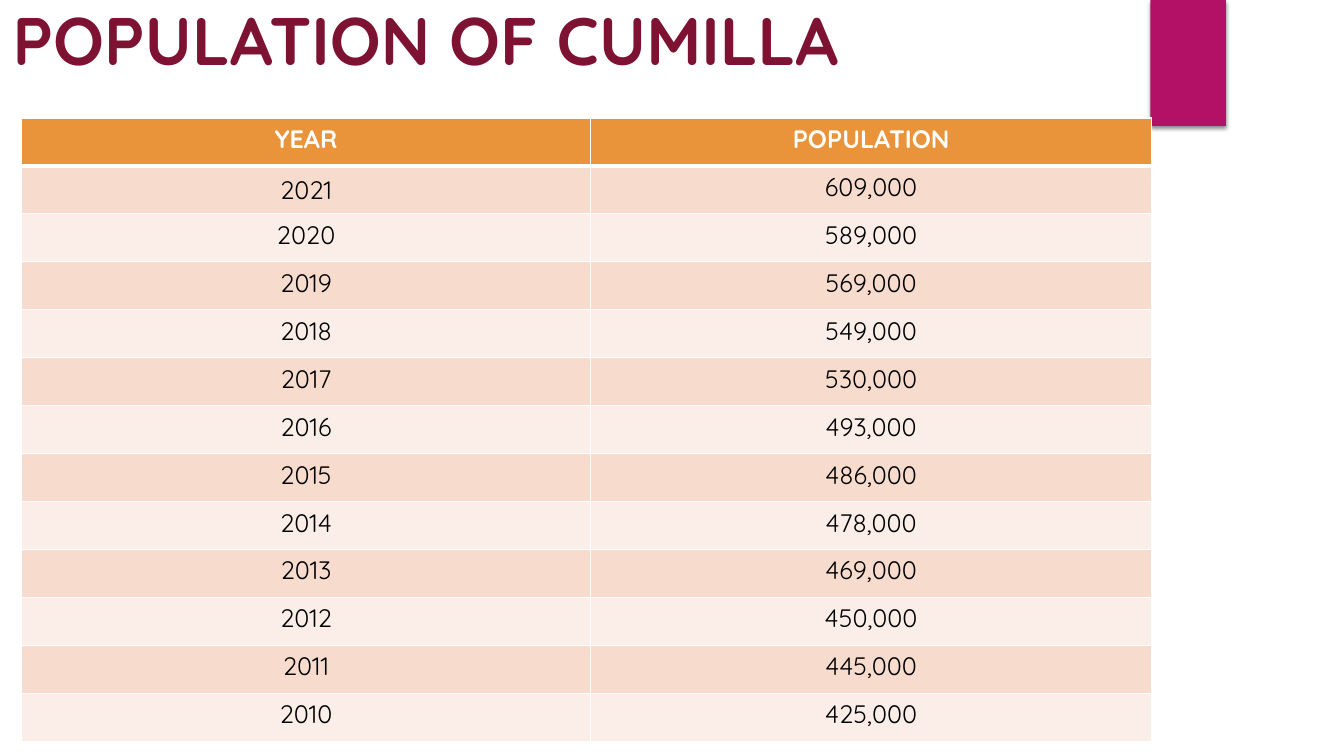
"""Build the slide with Cumilla's population by year."""
from lxml import etree
from pptx import Presentation, util as u
from pptx.dml.color import RGBColor
from pptx.enum import shapes, text
from pptx.oxml import parse_xml
from pptx.oxml.ns import nsdecls, qn

COLORS = {
    "title": "7E1233", "tab": "B31166", "header": "E9943A", "white": "FFFFFF",
    "black": "000000", "odd": "F7DCCE", "even": "FBEEE8",
}
ROWS = [
    ("YEAR", "POPULATION"),
    ("2021", "609,000"), ("2020", "589,000"), ("2019", "569,000"),
    ("2018", "549,000"), ("2017", "530,000"), ("2016", "493,000"),
    ("2015", "486,000"), ("2014", "478,000"), ("2013", "469,000"),
    ("2012", "450,000"), ("2011", "445,000"), ("2010", "425,000"),
]
COL_WIDTHS = (5.65, 5.56)
TABLE_HEIGHT = 6.19


def write(tf, content, size=18, color="black", bold=False):
    p = tf.paragraphs[0]
    p.alignment = text.PP_ALIGN.CENTER
    r = p.add_run()
    r.text = content
    r.font.name = "Quicksand"
    r.font.size = u.Pt(size)
    r.font.bold = bold
    r.font.color.rgb = RGBColor.from_string(COLORS[color])


def set_borders(cell, bottom, top):
    tc_pr = cell._tc.get_or_add_tcPr()
    widths = {"L": 1, "R": 1, "T": top, "B": bottom}
    for i, (side, width) in enumerate(widths.items()):
        tc_pr.insert(i, parse_xml(
            f'<a:ln{side} {nsdecls("a")} w="{u.Pt(width)}"><a:solidFill>'
            f'<a:srgbClr val="{COLORS["white"]}"/></a:solidFill></a:ln{side}>'))


prs = Presentation()
prs.slide_width, prs.slide_height = u.Inches(13.33), u.Inches(7.5)
s = prs.slides.add_slide(prs.slide_layouts[6])

sp = s.shapes.add_shape(shapes.MSO_SHAPE.RECTANGLE, u.Inches(11.41), 0,
                        u.Inches(0.75), prs.slide_height // 6)
sp.fill.solid()
sp.fill.fore_color.rgb = RGBColor.from_string(COLORS["tab"])
sp.line.fill.background()
sp.shadow.inherit = False
shadow = etree.SubElement(
    sp._element.spPr.find(qn("a:effectLst")), qn("a:outerShdw"),
    blurRad=str(u.Pt(3)), dist=str(u.Pt(2)), dir=str(90 * 60000), rotWithShape="0")
shade = etree.SubElement(shadow, qn("a:srgbClr"), val=COLORS["black"])
etree.SubElement(shade, qn("a:alpha"), val="45000")

sp = s.shapes.add_textbox(u.Inches(-0.57), 0, u.Inches(9.58), u.Inches(0.77))
tf = sp.text_frame
tf.word_wrap = True
tf.vertical_anchor = text.MSO_ANCHOR.MIDDLE
write(tf, "POPULATION OF CUMILLA", size=48, color="title", bold=True)

table = s.shapes.add_table(
    len(ROWS), len(COL_WIDTHS), u.Inches(0.21), u.Inches(1.17),
    u.Inches(sum(COL_WIDTHS)), u.Inches(TABLE_HEIGHT)).table
for column, width in zip(table.columns, COL_WIDTHS):
    column.width = u.Inches(width)

for i, values in enumerate(ROWS):
    header = i == 0
    fill = "header" if header else ("even", "odd")[i % 2]
    for j, value in enumerate(values):
        cell = table.cell(i, j)
        cell.fill.solid()
        cell.fill.fore_color.rgb = RGBColor.from_string(COLORS[fill])
        set_borders(cell, bottom=3 if header else 1, top=3 if i == 1 else 1)
        write(cell.text_frame, value, color="white" if header else "black", bold=header)
table.cell(1, 0).vertical_anchor = text.MSO_ANCHOR.MIDDLE

prs.save("out.pptx")
